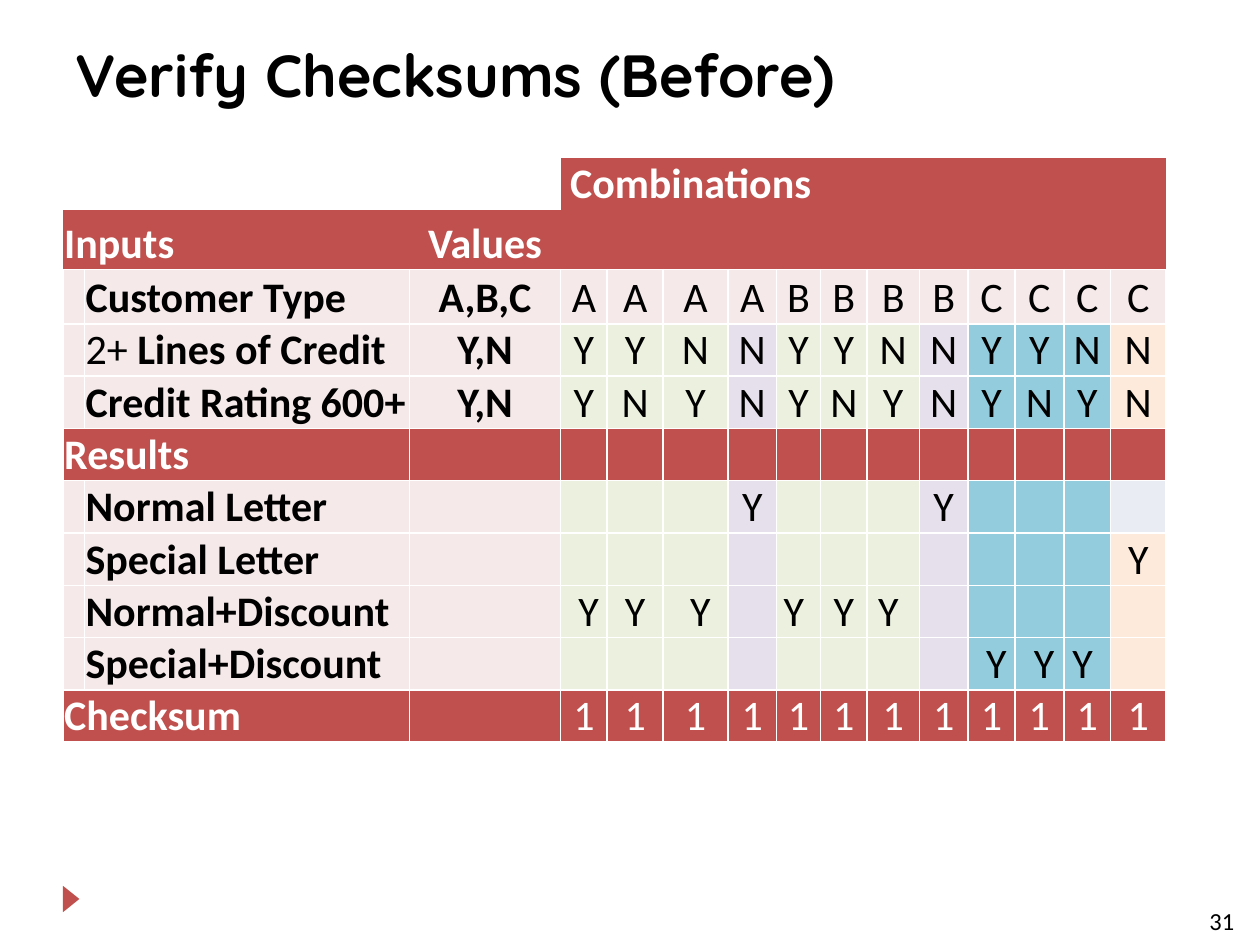
from dataclasses import dataclass

from lxml import etree
from pptx import Presentation
from pptx.dml.color import RGBColor
from pptx.enum import shapes, text
from pptx.oxml import ns
from pptx.util import Pt


@dataclass(frozen=True)
class Theme:
    heading_font: str = "Quicksand"
    body_font: str = "Calibri"
    title_size: int = 34
    table_size: int = 24
    number_size: int = 14
    black: str = "000000"
    white: str = "FFFFFF"
    red: str = "C0504D"
    pink: str = "F5E9E9"
    green: str = "EBF1DE"
    lilac: str = "E6E0EC"
    aqua: str = "93CDDD"
    peach: str = "FDEADA"


THEME = Theme()
TITLE = "Verify Checksums (Before)"
PAGE_NUMBER = "31"
# Each row: kind, label as (text, bold) runs, values, the twelve combinations
ROWS = [
    ("top", [], "", "Combinations|||||||||||"),
    ("head", [("Inputs", True)], "Values", "|||||||||||"),
    ("types", [("Customer Type", True)], "A,B,C", "A|A|A|A|B|B|B|B|C|C|C|C"),
    ("data", [("2+ ", False), ("Lines of Credit", True)], "Y,N", "Y|Y|N|N|Y|Y|N|N|Y|Y|N|N"),
    ("data", [("Credit Rating 600+", True)], "Y,N", "Y|N|Y|N|Y|N|Y|N|Y|N|Y|N"),
    ("band", [("Results", True)], "", "|||||||||||"),
    ("data", [("Normal Letter", True)], "", "|||Y||||Y||||"),
    ("data", [("Special Letter", True)], "", "|||||||||||Y"),
    ("data", [("Normal+Discount", True)], "", " Y|Y| Y||Y |Y|Y |||||"),
    ("data", [("Special+Discount", True)], "", "||||||||| Y| Y|Y |"),
]
ROWS[6] = ROWS[6][:3] + ("|||Y||||Y|||",)
ROWS[9] = ROWS[9][:3] + ("|||||||| Y| Y|Y |",)
ROWS.append(("band", [("Checksum", True)], "", "|".join(["1"] * 12)))

# Columns that lead to the same result share a colour
COMBINATION_FILLS = (([THEME.green] * 3 + [THEME.lilac]) * 2
                     + [THEME.aqua] * 3 + [THEME.peach])
COLUMN_WIDTHS = [12.2, 185.8, 86.4, 26.6, 32, 37, 27.9, 25.1,
                 26.6, 29.8, 28, 26.7, 28, 26.8, 31.5]
ROW_HEIGHTS = {"top": 29.8, "head": 34.3, "types": 31}
ROW_HEIGHT = 29.9
TABLE_LEFT, TABLE_TOP = 36, 90
FIRST_COMBINATION = 3


def write(paragraph, runs, size, color, font=THEME.body_font):
    for words, bold in runs:
        run = paragraph.add_run()
        run.text = words
        run.font.name, run.font.size, run.font.bold = font, Pt(size), bold
        run.font.color.rgb = RGBColor.from_string(color)


def set_borders(cell, visible_sides):
    """Draw white 1 pt lines on the given sides (of LRTB) and none elsewhere."""
    properties = cell._tc.get_or_add_tcPr()
    for position, side in enumerate("LRTB"):
        line = etree.Element(ns.qn(f"a:ln{side}"), w=str(Pt(1)))
        if side in visible_sides:
            solid = etree.SubElement(line, ns.qn("a:solidFill"))
            etree.SubElement(solid, ns.qn("a:srgbClr"), val=THEME.white)
        else:
            etree.SubElement(line, ns.qn("a:noFill"))
        properties.insert(position, line)


def fill_for(kind, column):
    if kind == "top" and column < FIRST_COMBINATION:
        return None
    if kind in ("top", "head", "band"):
        return THEME.red
    if kind == "types" or column < FIRST_COMBINATION:
        return THEME.pink
    return COMBINATION_FILLS[column - FIRST_COMBINATION]


def format_cell(cell, kind, column, runs):
    set_borders(cell, {"top": "", "head": "B"}.get(kind, "LRTB"))
    color = fill_for(kind, column)
    if color:
        cell.fill.solid()
        cell.fill.fore_color.rgb = RGBColor.from_string(color)
    else:
        cell.fill.background()
    cell.margin_left = cell.margin_right = cell.margin_top = Pt(0.72)
    cell.margin_bottom = Pt(0)
    cell.vertical_anchor = text.MSO_ANCHOR.BOTTOM
    paragraph = cell.text_frame.paragraphs[0]
    if column > 1:
        paragraph.alignment = text.PP_ALIGN.CENTER
    write(paragraph, runs, THEME.table_size,
          THEME.white if color == THEME.red else THEME.black)


def add_decision_table(slide):
    heights = [ROW_HEIGHTS.get(kind, ROW_HEIGHT) for kind, *_ in ROWS]
    table = slide.shapes.add_table(
        len(ROWS), len(COLUMN_WIDTHS), Pt(TABLE_LEFT), Pt(TABLE_TOP),
        Pt(sum(COLUMN_WIDTHS)), Pt(sum(heights))).table
    table.first_row = table.horz_banding = False
    for column, width in zip(table.columns, COLUMN_WIDTHS):
        column.width = Pt(width)
    for row, height in zip(table.rows, heights):
        row.height = Pt(height)

    for r, (kind, label, values, combinations) in enumerate(ROWS):
        spans_label = kind in ("head", "band")
        contents = [label, []] if spans_label else [[], label]
        contents.append([(values, True)] if values else [])
        contents += [[(mark, kind == "top")] if mark else []
                     for mark in combinations.split("|")]
        for c, runs in enumerate(contents):
            format_cell(table.cell(r, c), kind, c, runs)
        if spans_label:
            table.cell(r, 0).merge(table.cell(r, 1))
    table.cell(0, FIRST_COMBINATION).merge(table.cell(0, FIRST_COMBINATION + 4))


def add_title(slide):
    title = slide.shapes.title
    title.left, title.top, title.width, title.height = Pt(36), Pt(18), Pt(648), Pt(72)
    title.text_frame.vertical_anchor = text.MSO_ANCHOR.TOP
    heading = title.text_frame.paragraphs[0]
    heading.alignment = text.PP_ALIGN.LEFT
    write(heading, [(TITLE, True)], THEME.title_size, THEME.black, THEME.heading_font)


def add_footer(slide):
    marker = slide.shapes.add_shape(
        shapes.MSO_SHAPE.ISOSCELES_TRIANGLE, Pt(33.1), Pt(509), Pt(15.1), Pt(9.4))
    marker.rotation = 90
    marker.shadow.inherit = False
    marker.fill.solid()
    marker.fill.fore_color.rgb = RGBColor.from_string(THEME.red)
    marker.line.fill.background()

    number = slide.shapes.add_textbox(Pt(684), Pt(514), Pt(32.4), Pt(18))
    number.text_frame.word_wrap = True
    write(number.text_frame.paragraphs[0], [(PAGE_NUMBER, False)],
          THEME.number_size, THEME.black)


def main():
    deck = Presentation()
    deck.slide_width, deck.slide_height = Pt(720), Pt(540)
    slide = deck.slides.add_slide(deck.slide_layouts.get_by_name("Title Only"))
    add_footer(slide)
    add_title(slide)
    add_decision_table(slide)
    deck.save("out.pptx")


if __name__ == "__main__":
    main()
